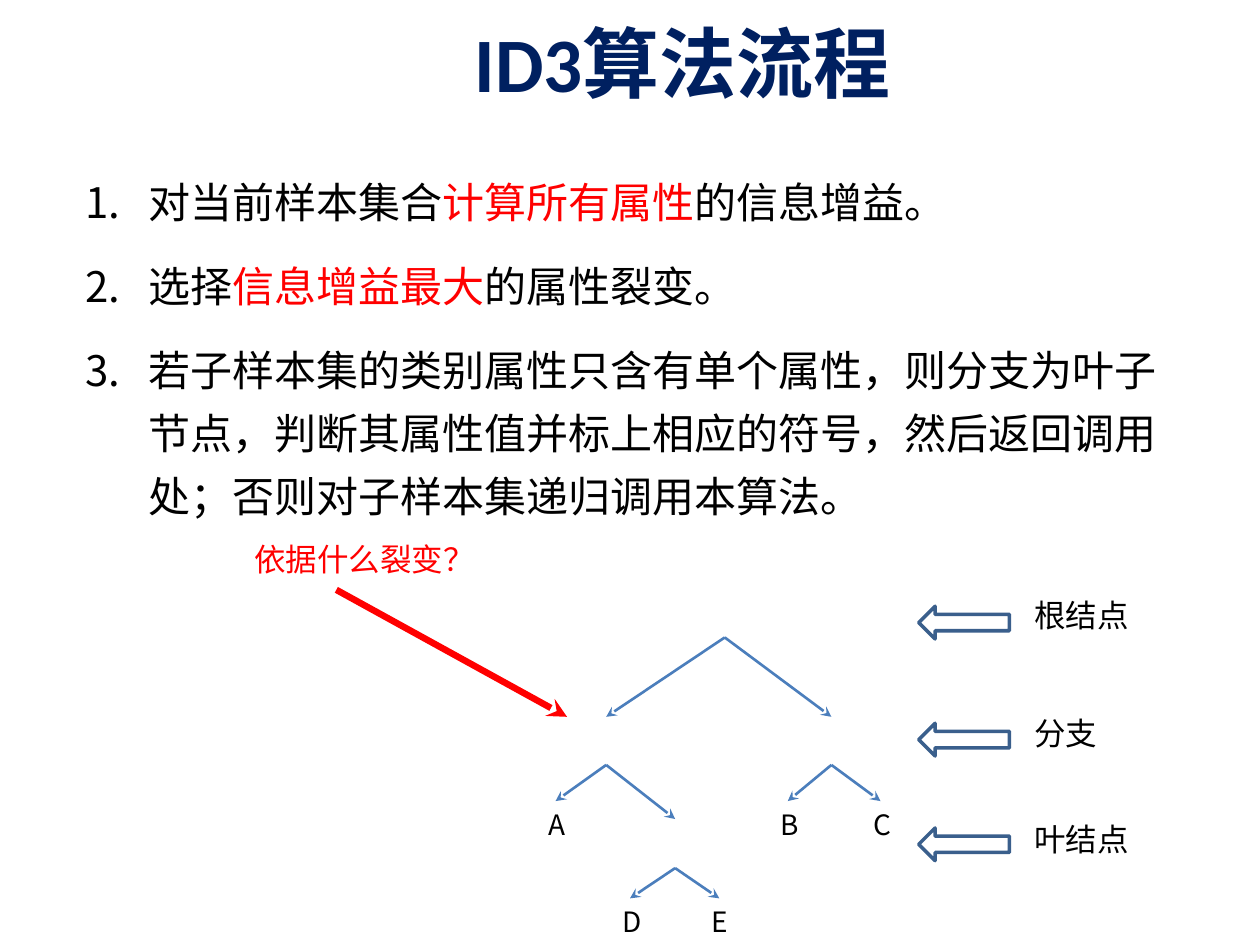
from dataclasses import dataclass
from typing import Optional

from lxml.etree import SubElement
from pptx import Presentation
from pptx.dml.color import RGBColor as RGB
from pptx.enum.shapes import MSO_CONNECTOR as Link, MSO_SHAPE as Form
from pptx.enum.text import MSO_ANCHOR as Anchor, MSO_AUTO_SIZE as Fit
from pptx.oxml.ns import qn
from pptx.util import Cm, Pt


@dataclass(frozen=True)
class Theme:
    latin: str = "Calibri"
    cjk: str = "Noto Sans CJK SC"
    navy: str = "002060"
    black: str = "000000"
    red: str = "FF0000"
    blue: str = "4B7EBC"
    steel: str = "3A5F8C"
    title: int = 44
    body: int = 24
    label: int = 18
    leaf: int = 16


@dataclass(frozen=True)
class Node:
    """A tree node: arrows arrive at its top and leave from its foot."""
    x: float
    top: float
    foot: float = 0
    up: Optional[str] = None
    leaf: bool = False


@dataclass(frozen=True)
class Level:
    name: str
    wide: float
    text_y: float
    mark_y: float


LOOK = Theme()

STEPS = [
    [("对当前样本集合", LOOK.black), ("计算所有属性", LOOK.red), ("的信息增益。", LOOK.black)],
    [("选择", LOOK.black), ("信息增益最大", LOOK.red), ("的属性裂变。", LOOK.black)],
    [("若子样本集的类别属性只含有单个属性，则分支为叶子节点，判断其属性值并标上"
      "相应的符号，然后返回调用处；否则对子样本集递归调用本算法。", LOOK.black)],
]

TREE = {
    "root": Node(14.61, 0, 12.85),
    "left": Node(12.22, 14.45, 15.42, "root"),
    "right": Node(16.76, 14.45, 15.42, "root"),
    "sub": Node(13.61, 16.51, 17.5, "left"),
    "A": Node(11.2, 16.15, up="left", leaf=True),
    "B": Node(15.88, 16.15, up="right", leaf=True),
    "C": Node(17.75, 16.15, up="right", leaf=True),
    "D": Node(12.7, 18.11, up="sub", leaf=True),
    "E": Node(14.5, 18.11, up="sub", leaf=True),
}

LEVELS = [
    Level("根结点", 2.44, 11.89, 12.22),
    Level("分支", 1.8, 14.27, 14.58),
    Level("叶结点", 2.44, 16.41, 16.69),
]


def apply(item, form: dict) -> None:
    for name, value in form.items():
        setattr(item, name, value)


def add_run(para, text: str, size: int, color: str, face: str = LOOK.cjk, bold: bool = False) -> None:
    run = para.add_run()
    run.text = text
    apply(run.font, {"size": Pt(size), "bold": bold, "name": face})
    run.font.color.rgb = RGB.from_string(color)
    SubElement(run.font._element, qn("a:ea"), typeface=LOOK.cjk)


def add_box(slide, x: float, y: float, wide: float, high: float, **form):
    frame = slide.shapes.add_textbox(Cm(x), Cm(y), Cm(wide), Cm(high)).text_frame
    apply(frame, {"word_wrap": True, "vertical_anchor": Anchor.TOP, **form})
    return frame


def add_label(slide, text: str, x: float, y: float, wide: float, high: float,
              size: int = LOOK.label, color: str = LOOK.black) -> None:
    frame = add_box(slide, x, y, wide, high, word_wrap=False, auto_size=Fit.SHAPE_TO_FIT_TEXT)
    add_run(frame.paragraphs[0], text, size, color)


def add_arrow(slide, start: tuple, end: tuple, color: str, width: float) -> None:
    ends = [Cm(value) for value in (*start, *end)]
    arrow = slide.shapes.add_connector(Link.STRAIGHT, *ends)
    arrow.line.color.rgb = RGB.from_string(color)
    arrow.line.width = Pt(width)
    SubElement(arrow.line._get_or_add_ln(), qn("a:tailEnd"), type="stealth")
    SubElement(arrow._element.spPr, qn("a:effectLst"))


def add_title(slide) -> None:
    frame = add_box(slide, 9.32, 0.43, 14.4, 2.54, margin_top=Cm(0.1))
    para = frame.paragraphs[0]
    para.line_spacing = 0.9
    add_run(para, "ID3算法流程", LOOK.title, LOOK.navy, LOOK.latin, True)


def add_steps(slide) -> None:
    frame = add_box(slide, 1.47, 3.18, 22.66, 14.81)
    for index, parts in enumerate(STEPS):
        para = frame.add_paragraph() if index else frame.paragraphs[0]
        apply(para, {"line_spacing": Pt(36), "space_before": Pt(12 if index else 0)})
        props = para._p.get_or_add_pPr()
        props.set("marL", str(Cm(1.27)))
        props.set("indent", str(-Cm(1.27)))
        SubElement(props, qn("a:buFont"), typeface=LOOK.cjk)
        SubElement(props, qn("a:buAutoNum"), type="arabicPeriod")
        for text, color in parts:
            add_run(para, text, LOOK.body, color)


def add_tree(slide) -> None:
    for name, node in TREE.items():
        if node.leaf:
            add_label(slide, name, node.x - 0.4, node.top, 0.8, 0.94, LOOK.leaf)
        if node.up:
            head = TREE[node.up]
            add_arrow(slide, (head.x, head.foot), (node.x, node.top), LOOK.blue, 1.5)


def add_level(slide, level: Level) -> None:
    add_label(slide, level.name, 20.6, level.text_y, level.wide, 1.02)
    mark = slide.shapes.add_shape(Form.RIGHT_ARROW, Cm(18.52), Cm(level.mark_y), Cm(1.83), Cm(0.66))
    mark.rotation = 180
    mark.shadow.inherit = False
    mark.fill.background()
    mark.line.color.rgb = RGB.from_string(LOOK.steel)
    mark.line.width = Pt(2)


def main() -> None:
    deck = Presentation()
    apply(deck, {"slide_width": Cm(25.4), "slide_height": Cm(19.05)})
    slide = deck.slides.add_slide(deck.slide_layouts[6])
    add_title(slide)
    add_steps(slide)
    add_tree(slide)
    for level in LEVELS:
        add_level(slide, level)
    add_arrow(slide, (6.78, 11.89), (11.43, 14.45), LOOK.red, 3.75)
    add_label(slide, "依据什么裂变？", 4.88, 10.77, 5, 1.02, color=LOOK.red)
    deck.save("out.pptx")


if __name__ == "__main__":
    main()
